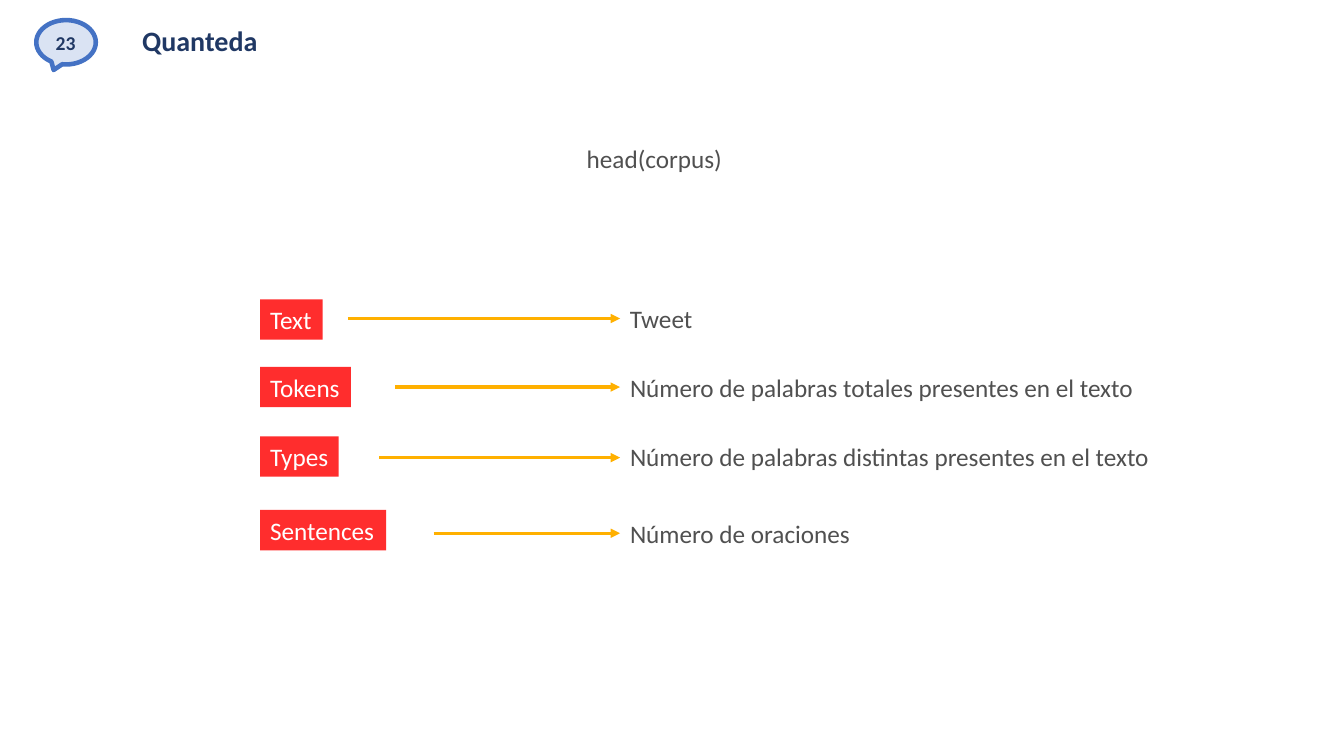
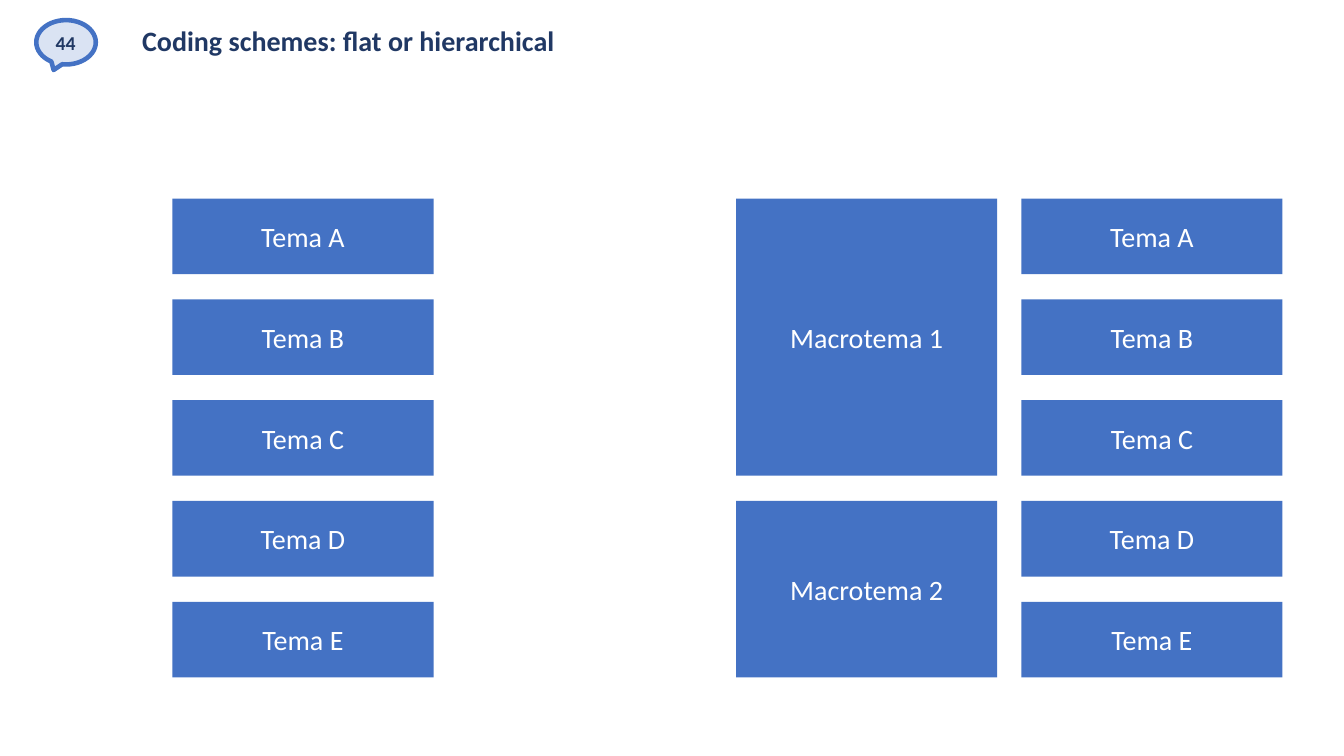
from dataclasses import dataclass
from typing import Any

from lxml.etree import SubElement
from pptx import Presentation
from pptx.dml.color import RGBColor
from pptx.enum.shapes import MSO_CONNECTOR as Connector, MSO_SHAPE as Preset
from pptx.enum.text import MSO_ANCHOR as Anchor, MSO_AUTO_SIZE as AutoSize, PP_ALIGN as Align
from pptx.oxml.ns import qn
from pptx.util import Inches, Pt

COLORS = {
    "navy": "203864",
    "blue": "4472C4",
    "pale": "DAE3F3",
    "red": "FF2D2D",
    "amber": "FFB000",
    "gray": "505050",
    "white": "FFFFFF",
}


@dataclass(frozen=True)
class TextStyle:
    size: int
    color: str
    bold: bool = False
    align: Align = Align.LEFT
    anchor: Anchor = Anchor.TOP
    wrap: bool = True
    spacing: float = 1.0


@dataclass(frozen=True)
class Box:
    left: float
    top: float
    width: float
    height: float

    def lengths(self) -> tuple:
        return tuple(Inches(n) for n in (self.left, self.top, self.width, self.height))


@dataclass(frozen=True)
class Definition:
    term: str
    term_top: float
    term_width: float
    meaning: str
    meaning_top: float
    meaning_width: float
    arrow_start: float
    arrow_y: float


TITLE = TextStyle(20, "navy", bold=True, anchor=Anchor.MIDDLE, spacing=0.85)
NUMBER = TextStyle(14, "navy", bold=True, align=Align.CENTER, anchor=Anchor.MIDDLE)
TERM = TextStyle(18, "white", wrap=False)
MEANING = TextStyle(18, "gray")
CODE = TextStyle(18, "gray", align=Align.CENTER)
TOPIC = TextStyle(20, "white", align=Align.CENTER, anchor=Anchor.MIDDLE)

TERM_LEFT, MEANING_LEFT, LINE_HEIGHT = 2.58, 6.15, 0.4
DEFINITIONS = (
    Definition("Text", 2.97, 0.62, "Tweet", 2.96, 1.44, 3.45, 3.16),
    Definition("Tokens", 3.64, 0.9, "Número de palabras totales presentes en el texto",
               3.64, 5.48, 3.92, 3.84),
    Definition("Types", 4.33, 0.78, "Número de palabras distintas presentes en el texto",
               4.33, 5.48, 3.76, 4.54),
    Definition("Sentences", 5.06, 1.25, "Número de oraciones", 5.09, 5.48, 4.3, 5.29),
)

TOPICS = ("Tema A", "Tema B", "Tema C", "Tema D", "Tema E")
MACRO_TOPICS = (("Macrotema 1", 0, 3), ("Macrotema 2", 3, 2))
FLAT_LEFT, MACRO_LEFT, NESTED_LEFT = 1.71, 7.3, 10.13
TOPIC_TOP, TOPIC_PITCH, TOPIC_WIDTH, TOPIC_HEIGHT = 1.97, 1.0, 2.59, 0.75


def rgb(name: str) -> RGBColor:
    return RGBColor.from_string(COLORS[name])


def apply(target: Any, values: dict[str, Any]) -> None:
    for attribute, value in values.items():
        setattr(target, attribute, value)


def write(shape: Any, text: str, style: TextStyle) -> None:
    frame = shape.text_frame
    frame.text = text
    apply(frame, {"auto_size": AutoSize.NONE, "word_wrap": style.wrap,
                  "vertical_anchor": style.anchor})
    paragraph = frame.paragraphs[0]
    apply(paragraph, {"alignment": style.align, "line_spacing": style.spacing})
    font = paragraph.runs[0].font
    apply(font, {"name": "Calibri", "size": Pt(style.size), "bold": style.bold})
    font.color.rgb = rgb(style.color)


def add_text(slide: Any, box: Box, text: str, style: TextStyle) -> None:
    write(slide.shapes.add_textbox(*box.lengths()), text, style)


def add_block(slide: Any, box: Box, fill: str, preset: Preset = Preset.RECTANGLE) -> Any:
    block = slide.shapes.add_shape(preset, *box.lengths())
    block.shadow.inherit = False
    block.fill.solid()
    block.fill.fore_color.rgb = rgb(fill)
    block.line.fill.background()
    return block


def add_arrow(slide: Any, start: float, end: float, y: float) -> None:
    arrow = slide.shapes.add_connector(
        Connector.STRAIGHT, Inches(start), Inches(y), Inches(end), Inches(y))
    arrow.line.color.rgb = rgb("amber")
    arrow.line.width = Pt(2.25)
    SubElement(arrow.line._get_or_add_ln(), qn("a:tailEnd"), type="triangle")
    SubElement(arrow._element.spPr, qn("a:effectLst"))


def add_slide(deck: Any, title: str, number: int) -> Any:
    slide = deck.slides.add_slide(deck.slide_layouts[5])
    balloon = add_block(slide, Box(0.36, 0.2, 0.59, 0.44), "pale", Preset.OVAL_CALLOUT)
    balloon.line.color.rgb = rgb("blue")
    balloon.line.width = Pt(3.25)
    heading = slide.shapes.title
    apply(heading, dict(zip(("left", "top", "width", "height"),
                            Box(1.31, 0.22, 10.77, 0.42).lengths())))
    write(heading, title, TITLE)
    add_text(slide, Box(0.24, 0.17, 0.82, 0.5), str(number), NUMBER)
    return slide


def add_definition(slide: Any, item: Definition) -> None:
    term = add_block(slide, Box(TERM_LEFT, item.term_top, item.term_width, LINE_HEIGHT), "red")
    write(term, item.term, TERM)
    add_text(slide, Box(MEANING_LEFT, item.meaning_top, item.meaning_width, LINE_HEIGHT),
             item.meaning, MEANING)
    add_arrow(slide, item.arrow_start, MEANING_LEFT, item.arrow_y)


def add_topic(slide: Any, text: str, left: float, row: int, span: int = 1) -> None:
    box = Box(left, TOPIC_TOP + row * TOPIC_PITCH, TOPIC_WIDTH,
              TOPIC_HEIGHT + (span - 1) * TOPIC_PITCH)
    write(add_block(slide, box, "blue"), text, TOPIC)


def main() -> None:
    deck = Presentation()
    apply(deck, {"slide_width": Inches(13.33), "slide_height": Inches(7.5)})

    quanteda = add_slide(deck, "Quanteda", 23)
    for item in DEFINITIONS:
        add_definition(quanteda, item)
    add_text(quanteda, Box(5.23, 1.37, 2.52, LINE_HEIGHT), "head(corpus)", CODE)

    schemes = add_slide(deck, "Coding schemes: flat or hierarchical", 44)
    for left in (FLAT_LEFT, NESTED_LEFT):
        for row, topic in enumerate(TOPICS):
            add_topic(schemes, topic, left, row)
    for macro_topic, row, span in MACRO_TOPICS:
        add_topic(schemes, macro_topic, MACRO_LEFT, row, span)

    deck.save("out.pptx")


if __name__ == "__main__":
    main()
